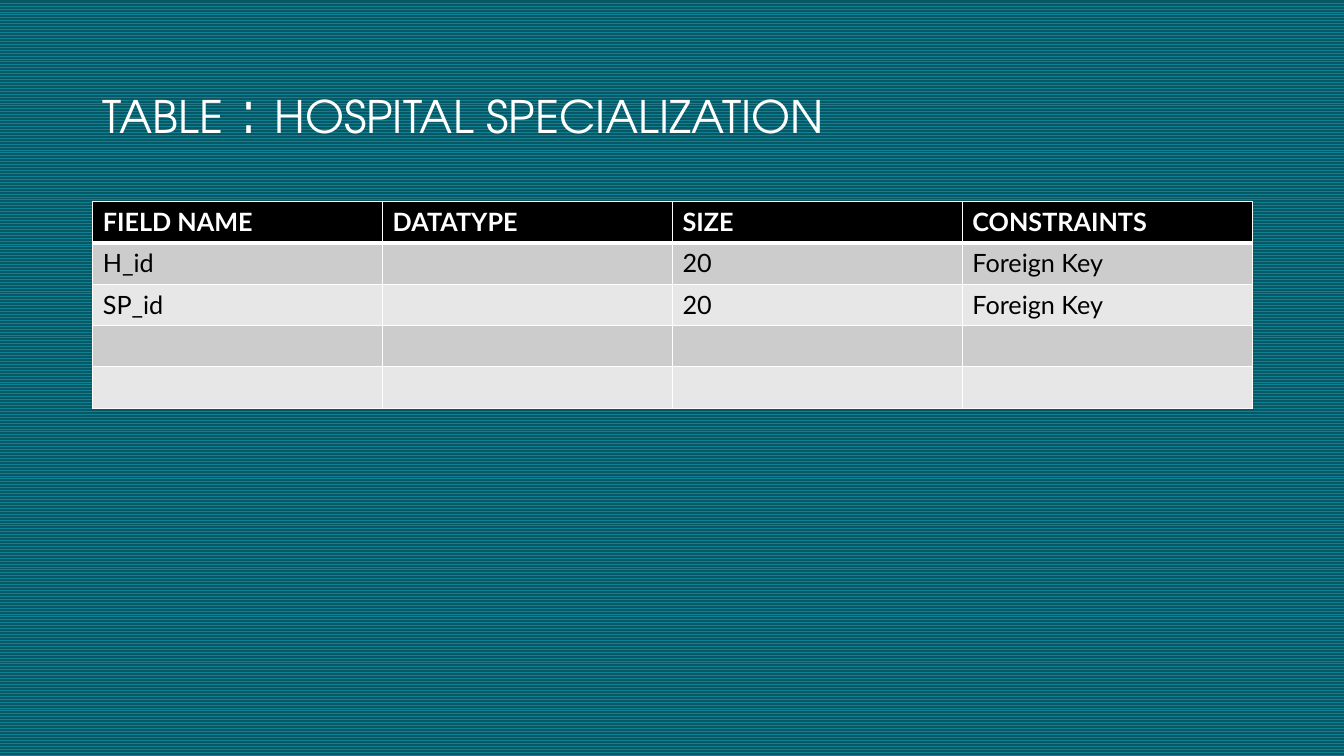
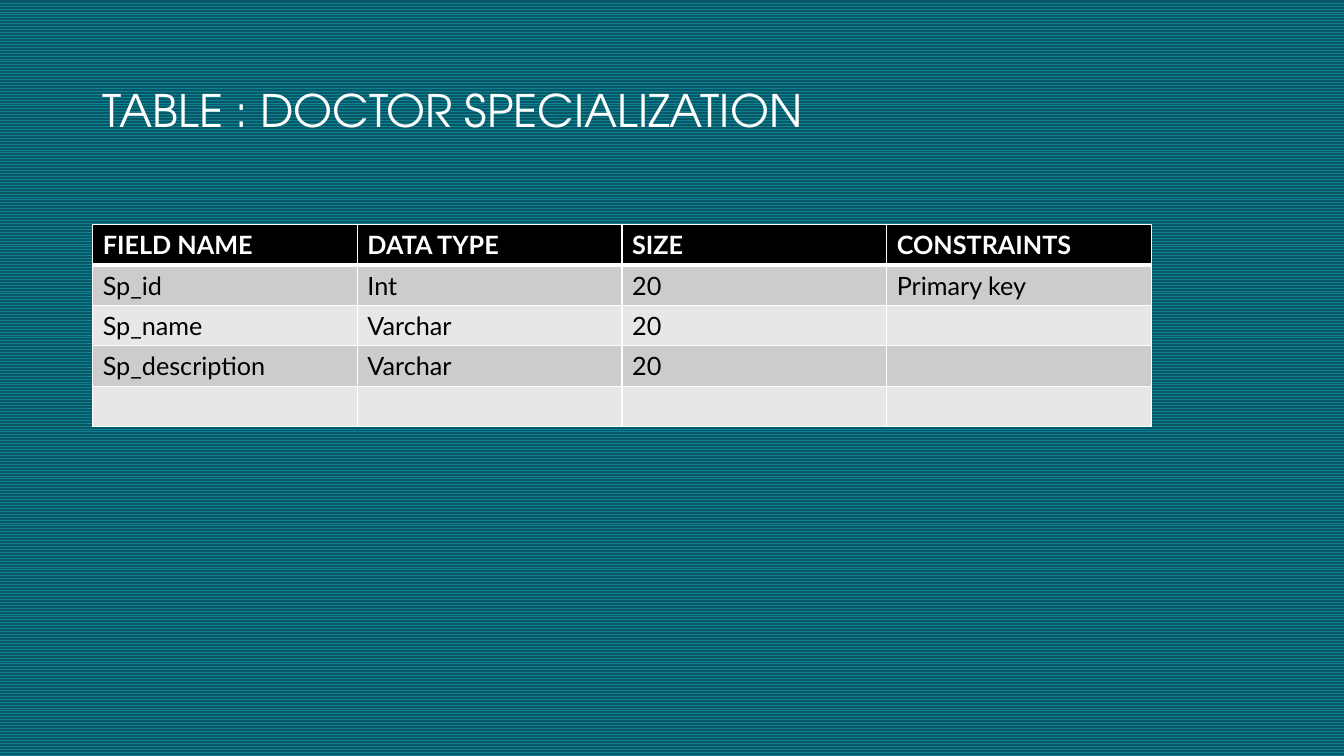
from pptx import Presentation
from pptx.dml.color import RGBColor
from pptx.enum.dml import MSO_PATTERN
from pptx.enum.text import MSO_ANCHOR
from pptx.oxml.ns import qn
from pptx.util import Inches, Pt
from lxml.etree import SubElement

WHITE, BLACK = "FFFFFF", "000000"
TEAL, DARK_TEAL = "0D8295", "085764"
BANDS = ("CCCCCC", "E7E7E7")
LEFT, TITLE_TOP, TITLE_W, TITLE_H = 0.92, 0.4, 11.5, 1.45
TITLE = {"name": "TeX Gyre Adventor", "size": Pt(32)}
HEADER = {"name": "Lato", "size": Pt(18), "bold": True}
BODY = {"name": "Lato", "size": Pt(18), "bold": False}


def rgb(value):
    """Return the colour for a hex string."""
    return RGBColor.from_string(value)


def add_run(p, text, formats, color):
    """Add a run with the given font values and colour."""
    r = p.add_run()
    r.text = text
    for name, value in formats.items():
        setattr(r.font, name, value)
    r.font.color.rgb = rgb(color)


def set_background(master):
    """Give all slides the zigzag pattern."""
    fill = master.background.fill
    fill.patterned()
    fill.pattern = MSO_PATTERN.ZIG_ZAG
    fill.fore_color.rgb = rgb(TEAL)
    fill.back_color.rgb = rgb(DARK_TEAL)


def add_title(s, parts):
    """Add the title from (text, size) parts."""
    sp = s.shapes.add_textbox(Inches(LEFT), Inches(TITLE_TOP), Inches(TITLE_W), Inches(TITLE_H))
    tf = sp.text_frame
    tf.word_wrap = True
    tf.vertical_anchor = MSO_ANCHOR.MIDDLE
    p = tf.paragraphs[0]
    p.line_spacing = 0.9
    for text, size in parts:
        add_run(p, text, TITLE | {"size": Pt(size)}, WHITE)


def set_borders(cell, top, bottom):
    """Draw white cell borders with the given top and bottom widths."""
    tcPr = cell._tc.get_or_add_tcPr()
    for side, width in {"L": 1, "R": 1, "T": top, "B": bottom}.items():
        ln = SubElement(tcPr, qn(f"a:ln{side}"), w=str(Pt(width)))
        SubElement(SubElement(ln, qn("a:solidFill")), qn("a:srgbClr"), val=WHITE)


def add_field_table(s, top, width, row_h, rows):
    """Add a table with a black header and banded grey rows."""
    n_rows, n_cols = len(rows), len(rows[0])
    frame = s.shapes.add_table(n_rows, n_cols, Inches(LEFT), Inches(top),
                               Inches(width), Inches(row_h * n_rows))
    for i, row in enumerate(rows):
        for j, text in enumerate(row):
            cell = frame.table.cell(i, j)
            set_borders(cell, top=3 if i == 1 else 1, bottom=3 if i == 0 else 1)
            cell.fill.solid()
            cell.fill.fore_color.rgb = rgb(BANDS[(i - 1) % 2] if i else BLACK)
            if text:
                add_run(cell.text_frame.paragraphs[0], text,
                        BODY if i else HEADER, BLACK if i else WHITE)


def main():
    """Build and save both slides."""
    prs = Presentation()
    prs.slide_width, prs.slide_height = Inches(13.33), Inches(7.5)
    set_background(prs.slide_master)
    blank = prs.slide_layouts[6]

    s = prs.slides.add_slide(blank)
    add_title(s, [("TABLE", 32), (" : ", 44), ("HOSPITAL SPECIALIZATION", 32)])
    add_field_table(s, 2, 11.5, 0.41, [
        ("FIELD NAME", "DATATYPE", "SIZE", "CONSTRAINTS"),
        ("H_id", "", "20", "Foreign Key"),
        ("SP_id", "", "20", "Foreign Key"),
        ("",) * 4,
        ("",) * 4,
    ])

    s = prs.slides.add_slide(blank)
    add_title(s, [("TABLE : DOCTOR SPECIALIZATION", 32)])
    add_field_table(s, 2.23, 10.5, 0.4, [
        ("FIELD NAME", "DATA TYPE", "SIZE", "CONSTRAINTS"),
        ("Sp_id", "Int", "20", "Primary key"),
        ("Sp_name", "Varchar", "20", ""),
        ("Sp_description", "Varchar", "20", ""),
        ("",) * 4,
    ])
    prs.save("out.pptx")


main()
